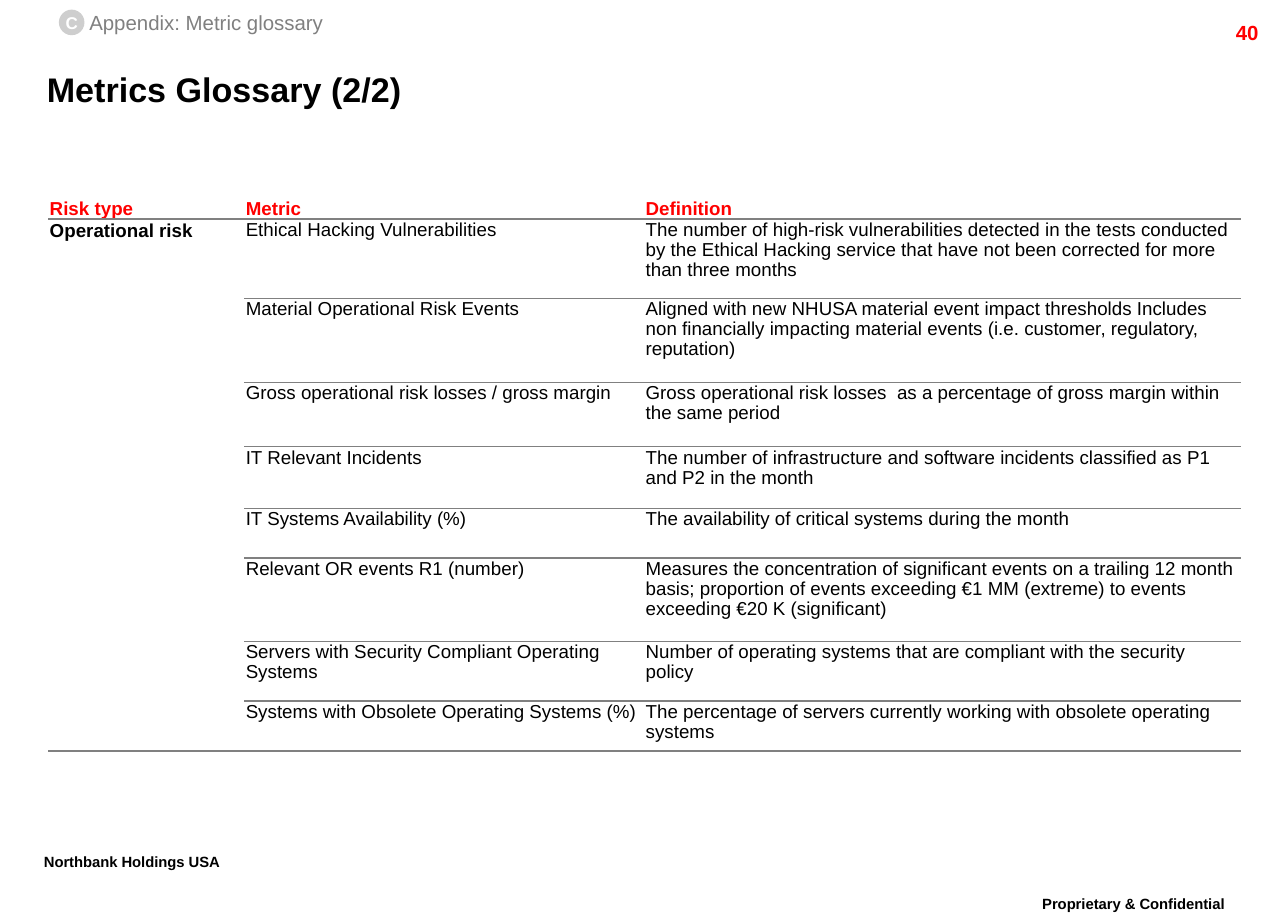
from dataclasses import dataclass

from lxml import etree
from pptx import Presentation
from pptx.dml.color import RGBColor
from pptx.enum.shapes import MSO_SHAPE
from pptx.enum.text import MSO_ANCHOR, PP_ALIGN
from pptx.oxml.ns import qn
from pptx.util import Cm, Pt

OVAL = MSO_SHAPE.OVAL
TOP, MIDDLE, BOTTOM = MSO_ANCHOR.TOP, MSO_ANCHOR.MIDDLE, MSO_ANCHOR.BOTTOM
LEFT, CENTER, RIGHT = PP_ALIGN.LEFT, PP_ALIGN.CENTER, PP_ALIGN.RIGHT


@dataclass(frozen=True)
class Theme:
    font: str = "Arial"
    black: str = "000000"
    red: str = "FF0000"
    gray: str = "808080"
    badge: str = "CECECE"
    white: str = "FFFFFF"
    title_size: int = 20
    footer_size: int = 15
    label_size: int = 12
    table_size: int = 11
    badge_size: int = 10
    table_spacing: float = 0.96
    footer_spacing: float = 0.86
    rule_width: int = 1


THEME = Theme()


@dataclass(frozen=True)
class TextStyle:
    size: int
    color: str = THEME.black
    bold: bool = True
    align: PP_ALIGN = LEFT
    spacing: float = 1.0
    raised: bool = False


@dataclass(frozen=True)
class Label:
    text: str
    left: float
    top: float
    width: float
    height: float
    style: TextStyle
    anchor: MSO_ANCHOR = TOP
    inset_x: float = 0.25
    inset_y: float = 0.13


@dataclass(frozen=True)
class Metric:
    name: str
    definition: str
    height: float


FOOTER = TextStyle(THEME.footer_size, spacing=THEME.footer_spacing, raised=True)
FOOTER_CENTERED = TextStyle(THEME.footer_size, align=CENTER,
                            spacing=THEME.footer_spacing, raised=True)
HEADER = TextStyle(THEME.table_size, THEME.red, spacing=THEME.table_spacing)
RISK = TextStyle(THEME.table_size)
BODY = TextStyle(THEME.table_size, bold=False, spacing=THEME.table_spacing)
BADGE = TextStyle(THEME.badge_size, THEME.white, align=CENTER)

LABELS = [
    Label("Proprietary & Confidential", 20.7, 18.42, 5.54, 0.89, FOOTER_CENTERED),
    Label("Northbank Holdings USA", 0.66, 17.55, 4.85, 0.89, FOOTER),
    Label("40", 23.77, 0.28, 2.54, 0.61,
          TextStyle(THEME.label_size, THEME.red, align=RIGHT)),
    Label("Metrics Glossary (2/2)", 0.97, 1.24, 24.08, 1.22,
          TextStyle(THEME.title_size), MIDDLE, 0, 0),
    Label("Appendix: Metric glossary", 1.85, 0.22, 5.2, 0.5,
          TextStyle(THEME.label_size, THEME.gray, bold=False), MIDDLE, 0, 0),
]

COLUMN_WIDTHS = [4.06, 8.28, 12.35]
HEADINGS = ["Risk type", "Metric", "Definition"]
HEADING_HEIGHT = 0.47
METRICS = [
    Metric("Ethical Hacking Vulnerabilities",
           "The number of high-risk vulnerabilities detected in the tests conducted by the "
           "Ethical Hacking service that have not been corrected for more than three months", 1.64),
    Metric("Material Operational Risk Events",
           "Aligned with new NHUSA material event impact thresholds Includes non financially "
           "impacting material events (i.e. customer, regulatory, reputation)", 1.74),
    Metric("Gross operational risk losses / gross margin",
           "Gross operational risk losses  as a percentage of gross margin within the same "
           "period", 1.33),
    Metric("IT Relevant Incidents",
           "The number of infrastructure and software incidents classified as P1 and P2 in "
           "the month", 1.28),
    Metric("IT Systems Availability (%)",
           "The availability of critical systems during the month", 1.03),
    Metric("Relevant OR events R1 (number)",
           "Measures the concentration of significant events on a trailing 12 month basis; "
           "proportion of events exceeding €1 MM (extreme) to events exceeding €20 K "
           "(significant)", 1.72),
    Metric("Servers with Security Compliant Operating Systems",
           "Number of operating systems that are compliant with the security policy", 1.24),
    Metric("Systems with Obsolete Operating Systems (%)",
           "The percentage of servers currently working with obsolete operating systems", 1.03),
]


def write(frame, text: str, style: TextStyle) -> None:
    paragraph = frame.paragraphs[0]
    paragraph.alignment = style.align
    paragraph.line_spacing = style.spacing
    run = paragraph.add_run()
    run.text = text
    run.font.name = THEME.font
    run.font.size = Pt(style.size)
    run.font.bold = style.bold
    run.font.color.rgb = RGBColor.from_string(style.color)
    if style.raised:
        run._r.get_or_add_rPr().set("baseline", "30000")


def set_insets(target, horizontal: float, vertical: float) -> None:
    target.margin_left = target.margin_right = Cm(horizontal)
    target.margin_top = target.margin_bottom = Cm(vertical)


def add_label(slide, label: Label) -> None:
    box = slide.shapes.add_textbox(Cm(label.left), Cm(label.top),
                                   Cm(label.width), Cm(label.height))
    frame = box.text_frame
    frame.word_wrap = True
    frame.vertical_anchor = label.anchor
    set_insets(frame, label.inset_x, label.inset_y)
    write(frame, label.text, label.style)


def add_badge(slide) -> None:
    shape = slide.shapes.add_shape(OVAL, Cm(1.22), Cm(0.2), Cm(0.53), Cm(0.53))
    shape.shadow.inherit = False
    shape.fill.solid()
    shape.fill.fore_color.rgb = RGBColor.from_string(THEME.badge)
    shape.line.fill.background()
    frame = shape.text_frame
    frame.word_wrap = False
    frame.vertical_anchor = MIDDLE
    set_insets(frame, 0, 0)
    write(frame, "C", BADGE)


def set_borders(cell, top: bool, bottom: bool) -> None:
    properties = cell._tc.get_or_add_tcPr()
    for tag, ruled in (("lnL", False), ("lnR", False), ("lnT", top), ("lnB", bottom)):
        line = etree.SubElement(properties, qn(f"a:{tag}"))
        if ruled:
            line.set("w", str(Pt(THEME.rule_width)))
            fill = etree.SubElement(line, qn("a:solidFill"))
            etree.SubElement(fill, qn("a:srgbClr")).set("val", THEME.gray)
        else:
            etree.SubElement(line, qn("a:noFill"))


def add_glossary(slide) -> None:
    rows = [HEADINGS] + [["", metric.name, metric.definition] for metric in METRICS]
    rows[1][0] = "Operational risk"
    heights = [HEADING_HEIGHT] + [metric.height for metric in METRICS]
    last = len(rows) - 1
    table = slide.shapes.add_table(len(rows), len(HEADINGS), Cm(1), Cm(4.06),
                                   Cm(sum(COLUMN_WIDTHS)), Cm(sum(heights))).table
    table.first_row = table.horz_banding = False
    for column, width in zip(table.columns, COLUMN_WIDTHS):
        column.width = Cm(width)
    for row, height in zip(table.rows, heights):
        row.height = Cm(height)

    for row, texts in enumerate(rows):
        for column, text in enumerate(texts):
            cell = table.cell(row, column)
            # The risk type spans all metrics, so only its outer edges are ruled
            set_borders(cell, top=row == 1 or (row > 1 and column > 0),
                        bottom=column > 0 or row in (0, 1, last))
            cell.fill.background()
            set_insets(cell, 0.03, 0)
            cell.margin_top = Cm(0.03)
            cell.vertical_anchor = BOTTOM if row == 0 else TOP
            if text:
                style = HEADER if row == 0 else RISK if column == 0 else BODY
                write(cell.text_frame, text, style)
    table.cell(1, 0).merge(table.cell(last, 0))


def main() -> None:
    presentation = Presentation()
    presentation.slide_width, presentation.slide_height = Cm(26.67), Cm(19.05)
    slide = presentation.slides.add_slide(presentation.slide_layouts[6])
    # Titles, page number and footers
    for label in LABELS:
        add_label(slide, label)
    # Section marker
    add_badge(slide)
    # Glossary table
    add_glossary(slide)
    presentation.save("out.pptx")


if __name__ == "__main__":
    main()
